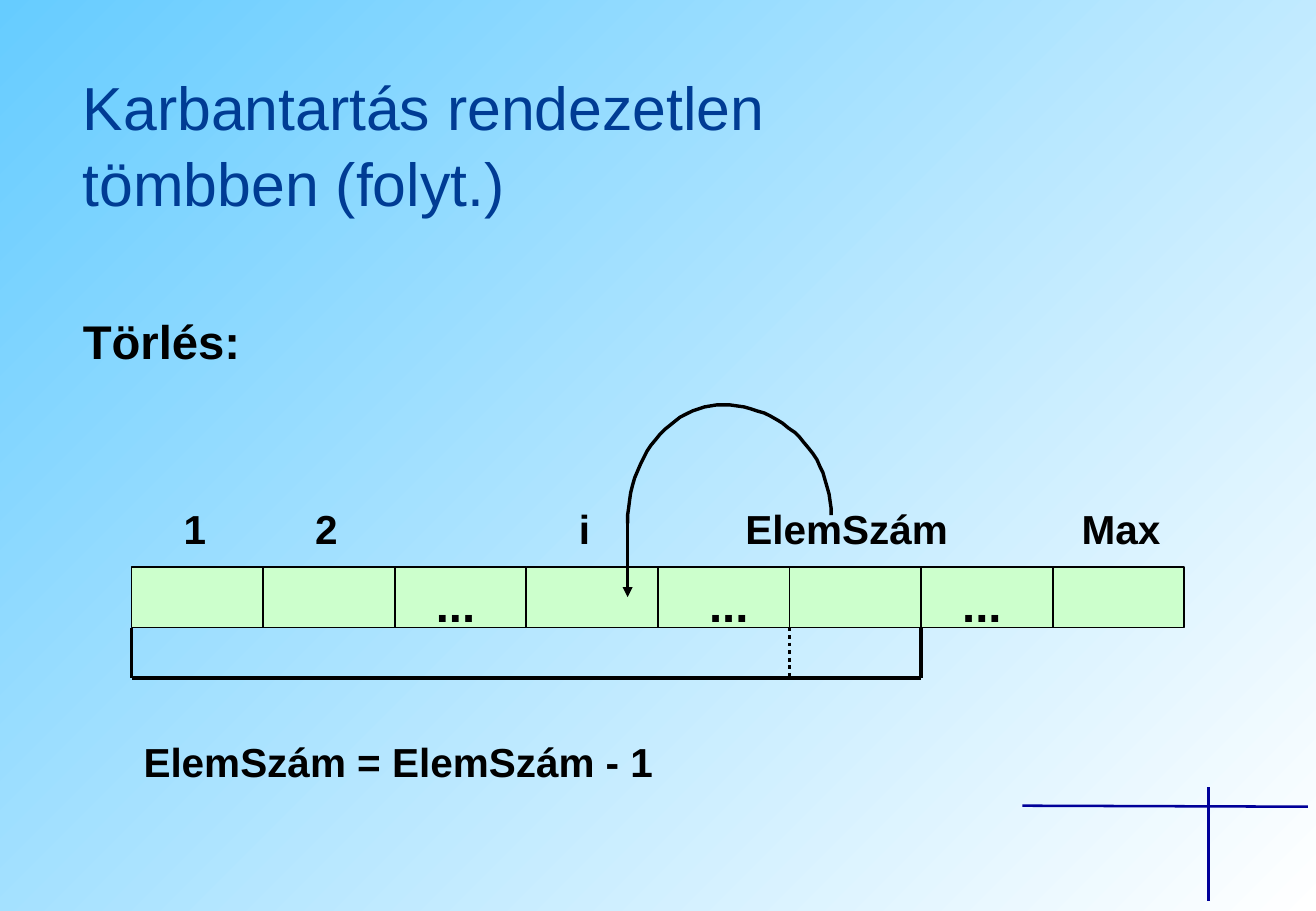
from math import cos, pi, sin

from lxml import etree
from pptx import Presentation
from pptx.dml.color import RGBColor
from pptx.enum.dml import MSO_LINE
from pptx.enum.shapes import MSO_CONNECTOR, MSO_SHAPE
from pptx.enum.text import PP_ALIGN
from pptx.oxml.ns import qn
from pptx.util import Emu, Pt

PX = 7620
FONT = "Arial"
LEFT, CENTER = PP_ALIGN.LEFT, PP_ALIGN.CENTER
RECT, STRAIGHT = MSO_SHAPE.RECTANGLE, MSO_CONNECTOR.STRAIGHT
DOTS = MSO_LINE.ROUND_DOT
COLORS = {
    "white": "FFFFFF",
    "sky": "66CCFF",
    "title": "003C94",
    "cross": "000099",
    "cell": "CCFFCC",
    "ink": "000000",
}
ROW_X, ROW_Y, CELL_W, CELL_H, CELLS = 130, 560, 130, 60, 8
LABELS = [("1", 135, 115), ("2", 265, 115), ("i", 520, 115),
          ("ElemSzám", 720, 233), ("Max", 1050, 115)]
GAPS = [390, 660, 910]


def px(*vals):
    """Turn pixel lengths into EMU."""
    return [Emu(val * PX) for val in vals]


def color(name):
    """Look up a named colour."""
    return RGBColor.from_string(COLORS[name])


def paint(slide):
    """Fill the background with a diagonal blend."""
    fill = slide.background.fill
    fill.gradient()
    fill.gradient_angle = 135
    for stop, name in zip(fill.gradient_stops, ("white", "sky")):
        stop.color.rgb = color(name)


def add_text(slide, text, box, size, align=LEFT, ink="ink", bold=True):
    """Add a text box with one paragraph."""
    frame = slide.shapes.add_textbox(*px(*box)).text_frame
    frame.word_wrap = True
    para = frame.paragraphs[0]
    para.text = text
    para.alignment = align
    para.line_spacing = 1.04
    font = para.font
    font.name, font.size, font.bold = FONT, Pt(size), bold
    font.color.rgb = color(ink)


def add_line(slide, start, end, width, ink="ink", dash=None, head=False):
    """Add a straight line, dashed or with an arrowhead if asked."""
    link = slide.shapes.add_connector(STRAIGHT, *px(*start, *end))
    link.line.width = Pt(width)
    link.line.color.rgb = color(ink)
    if dash:
        link.line.dash_style = dash
    if head:
        etree.SubElement(link.line._get_or_add_ln(), qn("a:tailEnd"), type="triangle")
    etree.SubElement(link._element.spPr, qn("a:effectLst"))


def add_cell(slide, x):
    """Add one cell of the array."""
    cell = slide.shapes.add_shape(RECT, *px(x, ROW_Y, CELL_W, CELL_H))
    cell.shadow.inherit = False
    cell.fill.solid()
    cell.fill.fore_color.rgb = color("cell")
    cell.line.color.rgb = color("ink")
    cell.line.width = Pt(1)


def add_arch(slide, mid, top, right, left, steps=24):
    """Add an open arch of two quarter ellipses, each given by its radii."""
    points = []
    for step in range(2 * steps + 1):
        turn = pi * step / (2 * steps)
        wide, high = right if step <= steps else left
        base = top + high
        points.append((mid + wide * cos(turn), base - high * sin(turn)))
    pen = slide.shapes.build_freeform(*points[0], scale=PX)
    pen.add_line_segments(points[1:], close=False)
    arch = pen.convert_to_shape()
    arch.shadow.inherit = False
    arch.fill.background()
    arch.line.color.rgb = color("ink")
    arch.line.width = Pt(2)


def add_array(slide):
    """Draw the array with its labels and the bracket below it."""
    for i in range(CELLS):
        add_cell(slide, ROW_X + i * CELL_W)
    for x in GAPS:
        add_text(slide, "...", (x, ROW_Y, 120, 68), 28, CENTER)
    for text, x, width in LABELS:
        add_text(slide, text, (x, 490, width, 60), 24, CENTER)
    top, low = ROW_Y + CELL_H, 670
    last, end = ROW_X + 5 * CELL_W, ROW_X + 6 * CELL_W
    for x in (ROW_X, end):
        add_line(slide, (x, top), (x, low), 2.25)
    add_line(slide, (ROW_X, low), (end, low), 2.25)
    add_line(slide, (last, top), (last, low), 2.25, dash=DOTS)


def main():
    """Build the slide and save it."""
    deck = Presentation()
    deck.slide_width, deck.slide_height = px(1300, 900)
    slide = deck.slides.add_slide(deck.slide_layouts[6])
    paint(slide)
    add_line(slide, (1010, 796), (1292, 797), 1.5, "cross")
    add_line(slide, (1194, 778), (1194, 890), 1.5, "cross")
    add_text(slide, "Karbantartás rendezetlen\vtömbben (folyt.)",
             (70, 60, 730, 156), 36, ink="title", bold=False)
    add_text(slide, "Törlés:", (70, 300, 769, 68), 28)
    add_array(slide)
    add_text(slide, "ElemSzám = ElemSzám - 1", (130, 720, 660, 60), 24)
    add_arch(slide, 714, 400, (107, 109), (94, 117))
    add_line(slide, (620, 517), (620, 590), 2, head=True)
    deck.save("out.pptx")


if __name__ == "__main__":
    main()
